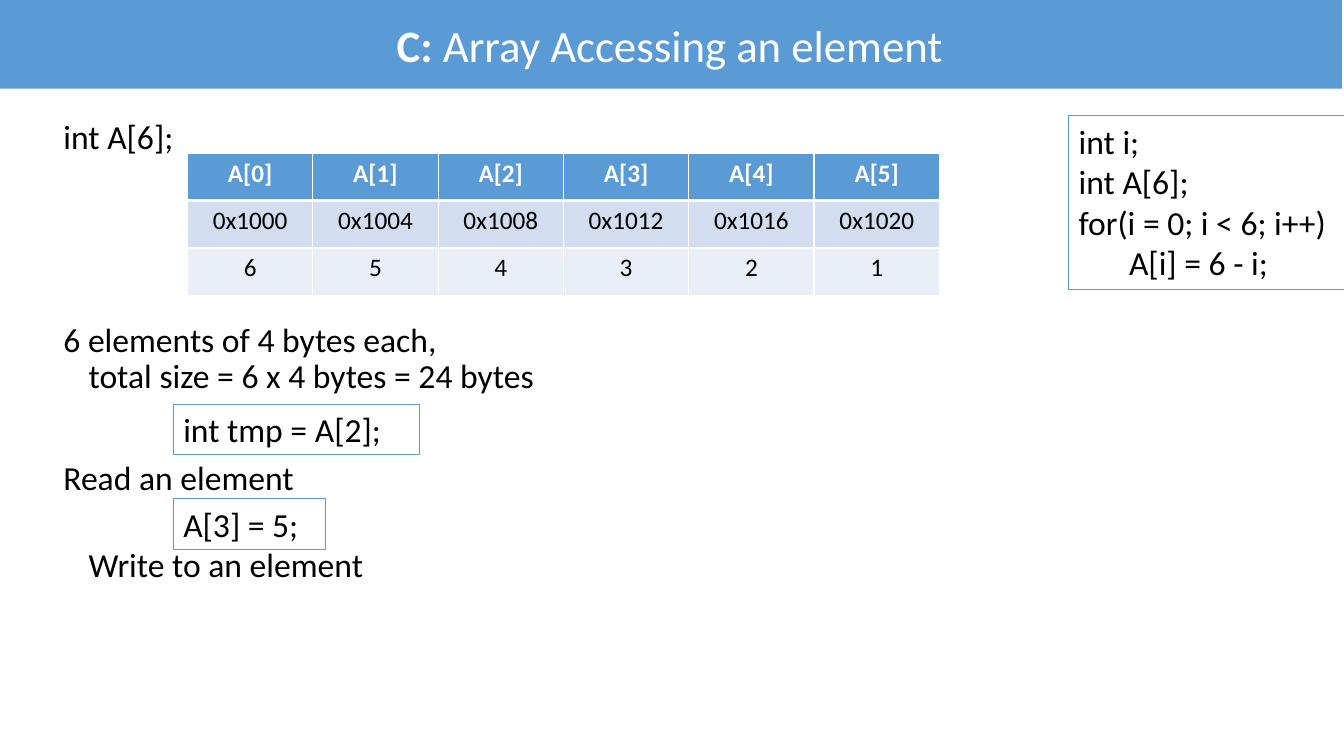
from lxml.etree import SubElement
from pptx import Presentation
from pptx.dml.color import RGBColor
from pptx.enum.shapes import MSO_SHAPE
from pptx.enum.text import MSO_ANCHOR, PP_ALIGN
from pptx.oxml.ns import qn
from pptx.util import Inches, Pt

WIDE, HIGH = Inches(13.33), Inches(7.5)
BLUE, WHITE, BLACK = "5B9BD5", "FFFFFF", "000000"


def paint(code):
    """Turn a hex string into a colour."""
    return RGBColor.from_string(code)


def place(x, y, w, h):
    """Turn percent shares of the slide into lengths."""
    return [int(share * side / 100)
            for share, side in zip((x, y, w, h), (WIDE, HIGH) * 2)]


def style(run, size=24, color=BLACK, bold=False):
    """Format one run."""
    run.font.name = "Calibri"
    run.font.size = Pt(size)
    run.font.bold = bold
    run.font.color.rgb = paint(color)


def write(para, text, align=PP_ALIGN.LEFT, **form):
    """Set and format the text of a paragraph."""
    para.text = text
    para.alignment = align
    for run in para.runs:
        style(run, **form)


def fill_lines(frame, lines):
    """Write one paragraph per line and return the paragraphs."""
    frame.word_wrap = True
    paras = [frame.paragraphs[0]] + [frame.add_paragraph() for _ in lines[1:]]
    for para, line in zip(paras, lines):
        write(para, line)
    return paras


def add_title(slide, box, lead, rest):
    """Make the title bar."""
    title = slide.shapes.title
    title.left, title.top, title.width, title.height = place(*box)
    title.fill.solid()
    title.fill.fore_color.rgb = paint(BLUE)
    frame = title.text_frame
    frame.vertical_anchor = MSO_ANCHOR.MIDDLE
    para = frame.paragraphs[0]
    para.alignment = PP_ALIGN.CENTER
    for text, bold in ((lead, True), (rest, False)):
        run = para.add_run()
        run.text = text
        style(run, 32, WHITE, bold)


def add_body(slide, box, items):
    """Place the notes from (text, space before, first indent) items."""
    frame = slide.shapes.add_textbox(*place(*box)).text_frame
    paras = fill_lines(frame, [text for text, _, _ in items])
    for para, (_, gap, indent) in zip(paras, items):
        para.line_spacing = 0.9
        para.space_before = Pt(gap)
        props = para._p.get_or_add_pPr()
        props.set("marL", str(Inches(0.25)))
        props.set("indent", str(Inches(indent)))


def add_edges(cell, **widths):
    """Draw white borders on a cell."""
    props = cell._tc.get_or_add_tcPr()
    for side in "LRTB":
        line = SubElement(props, qn("a:ln" + side), w=str(Pt(widths.get(side, 1))))
        SubElement(SubElement(line, qn("a:solidFill")), qn("a:srgbClr"), val=WHITE)


def add_array(slide, box, rows):
    """Place the table of names, addresses and values."""
    left, top, wide, high = place(*box)
    table = slide.shapes.add_table(len(rows), len(rows[0]), left, top, wide, high).table
    for col in table.columns:
        col.width = wide // len(rows[0])
    looks = ((BLUE, WHITE, {"B": 3}), ("D2DEEF", BLACK, {"T": 3}), ("EAEFF7", BLACK, {}))
    for r, (row, (back, color, edges)) in enumerate(zip(rows, looks)):
        for c, text in enumerate(row):
            cell = table.cell(r, c)
            add_edges(cell, **edges)
            cell.fill.solid()
            cell.fill.fore_color.rgb = paint(back)
            write(cell.text_frame.paragraphs[0], str(text), PP_ALIGN.CENTER,
                  size=18, color=color, bold=r == 0)


def add_code(slide, box, *lines):
    """Place a framed piece of code."""
    shape = slide.shapes.add_shape(MSO_SHAPE.RECTANGLE, *place(*box))
    shape.shadow.inherit = False
    shape.fill.background()
    shape.line.color.rgb = paint(BLUE)
    shape.line.width = Pt(0.75)
    shape.text_frame.vertical_anchor = MSO_ANCHOR.TOP
    fill_lines(shape.text_frame, lines)


def main():
    """Build and save the slide."""
    deck = Presentation()
    deck.slide_width, deck.slide_height = WIDE, HIGH
    slide = deck.slides.add_slide(deck.slide_layouts[5])
    add_title(slide, (-0.15, 0, 100, 11.73), "C: ", "Array Accessing an element")
    add_body(slide, (3.98, 15.33, 75.54, 76.4), [
        ("int A[6];", 0, -0.25),
        ("6 elements of 4 bytes each,\ntotal size = 6 x 4 bytes = 24 bytes", 119, -0.25),
        ("Read an element", 46.4, -0.25),
        ("Write to an element", 36.4, 0),
    ])
    add_array(slide, (13.95, 20.27, 55.96, 18.8), [
        [f"A[{i}]" for i in range(6)],
        [f"0x{1000 + 4 * i}" for i in range(6)],
        [6 - i for i in range(6)],
    ])
    add_code(slide, (12.9, 53.47, 18.3, 6.67), "int tmp = A[2];")
    add_code(slide, (12.9, 66, 11.33, 6.67), "A[3] = 5;")
    add_code(slide, (79.52, 15.33, 20.78, 22.93), "int i;", "int A[6];",
             "for(i = 0; i < 6; i++)\n\tA[i] = 6 - i;")
    deck.save("out.pptx")


if __name__ == "__main__":
    main()
